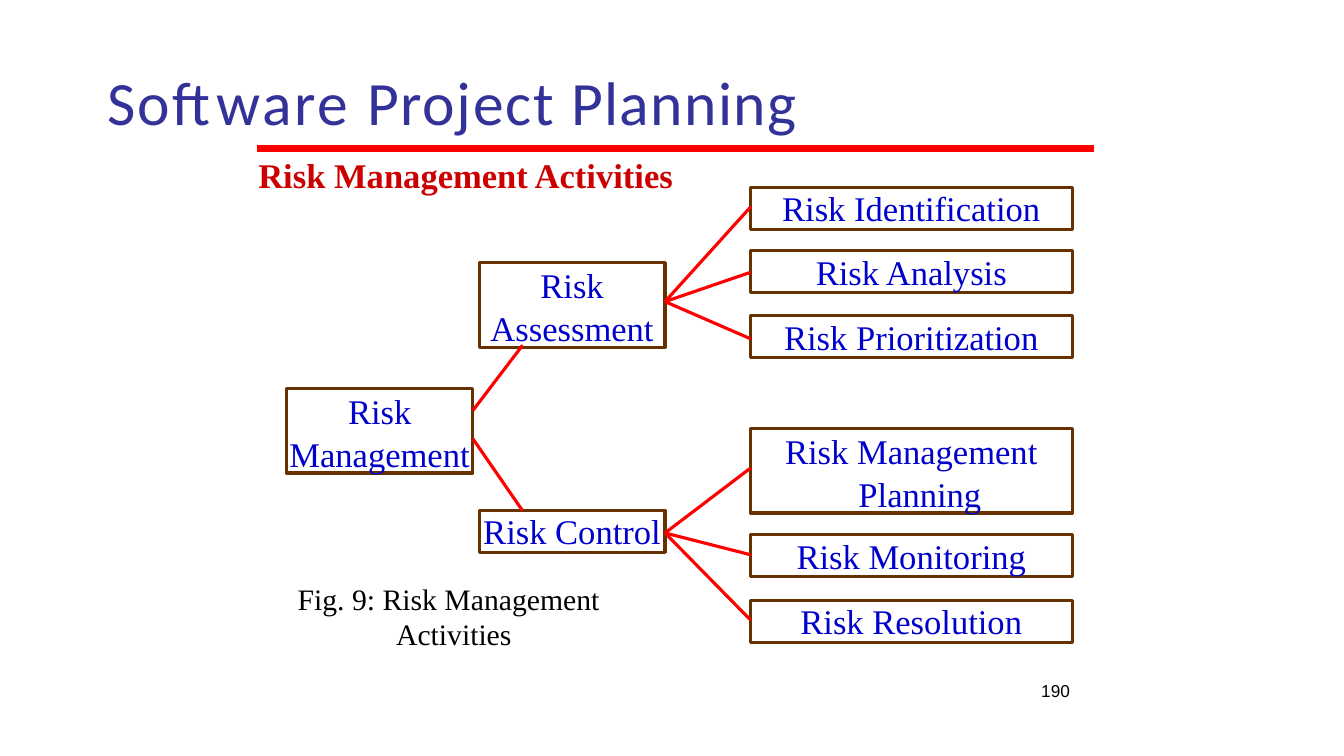
from pptx import Presentation
from pptx.dml.color import RGBColor
from pptx.enum.shapes import MSO_CONNECTOR, MSO_SHAPE
from pptx.enum.text import MSO_ANCHOR, PP_ALIGN
from pptx.oxml.ns import qn
from pptx.util import Cm, Pt
from lxml.etree import SubElement

SERIF = "Times New Roman"
RED, BROWN, BLUE = "FF0000", "653200", "0000CC"

TITLE = [("Software ", 1.7), ("Project ", 1.2), ("Planning", 1)]
HEADING = "Risk Management Activities"
CAPTION = "Fig. 9: Risk Management Activities"
PAGE_NUMBER = "190"

ROOT_COLUMN, BRANCH_COLUMN, LEAF_COLUMN = (7.22, 4.7), (12.08, 4.68), (18.92, 8.1)
ONE_LINE, TWO_LINES = 1.06, 2.13
BOXES = [
    ("Risk Management", ROOT_COLUMN, 9.79, TWO_LINES, 0),
    ("Risk Assessment", BRANCH_COLUMN, 6.62, TWO_LINES, 0),
    ("Risk Control", BRANCH_COLUMN, 12.86, ONE_LINE, 0),
    ("Risk Identification", LEAF_COLUMN, 4.72, ONE_LINE, 0),
    ("Risk Analysis", LEAF_COLUMN, 6.32, ONE_LINE, 0),
    ("Risk Prioritization", LEAF_COLUMN, 7.96, ONE_LINE, 0),
    ("Risk Management Planning", LEAF_COLUMN, 10.8, TWO_LINES, 0.43),
    ("Risk Monitoring", LEAF_COLUMN, 13.47, ONE_LINE, 0),
    ("Risk Resolution", LEAF_COLUMN, 15.13, ONE_LINE, 0),
]
ROOT_LINKS = [(10.34, 8.7), (11.06, 12.87)]
ROOT_LINK_END = 13.17
LEAF_LINKS = {7.6: (5.21, 6.86, 8.54), 13.43: (11.79, 13.98, 15.63)}


def color(value):
    return RGBColor.from_string(value)


def write(shape, text, size=24.7, font=SERIF, fill="000000", bold=False,
          align=PP_ALIGN.CENTER, anchor=MSO_ANCHOR.TOP, spacing=None, hang=0):
    frame = shape.text_frame
    frame.word_wrap = True
    frame.vertical_anchor = anchor
    frame.margin_left = frame.margin_right = frame.margin_top = frame.margin_bottom = 0
    paragraph = frame.paragraphs[0]
    paragraph.alignment = align
    paragraph.space_before = Pt(0)
    if spacing:
        paragraph.line_spacing = spacing
    if hang:
        properties = paragraph._p.get_or_add_pPr()
        properties.set("marL", str(Cm(hang)))
        properties.set("indent", str(-Cm(hang)))
    for words, tracking in [(text, 0)] if isinstance(text, str) else text:
        run = paragraph.add_run()
        run.text = words
        run.font.size = Pt(size)
        run.font.name = font
        run.font.bold = bold
        run.font.color.rgb = color(fill)
        if tracking:
            run.font._element.set("spc", str(round(tracking * 100)))


def add_label(slide, left, top, width, height, text, **style):
    shape = slide.shapes.add_textbox(Cm(left), Cm(top), Cm(width), Cm(height))
    write(shape, text, **style)


def add_box(slide, text, column, top, height, hang):
    left, width = column
    shape = slide.shapes.add_shape(
        MSO_SHAPE.RECTANGLE, Cm(left), Cm(top), Cm(width), Cm(height))
    shape.shadow.inherit = False
    shape.fill.background()
    shape.line.color.rgb = color(BROWN)
    shape.line.width = Pt(2.25)
    write(shape, text, fill=BLUE, hang=hang,
          spacing=1.04 if height == TWO_LINES else None)


def add_line(slide, start, end, width=2.25):
    line = slide.shapes.add_connector(
        MSO_CONNECTOR.STRAIGHT, *(Cm(value) for value in start + end))
    line.line.color.rgb = color(RED)
    line.line.width = Pt(width)
    SubElement(line._element.spPr, qn("a:effectLst"))


def main():
    presentation = Presentation()
    presentation.slide_width, presentation.slide_height = Cm(33.87), Cm(19.05)
    slide = presentation.slides.add_slide(presentation.slide_layouts[5])

    title = slide.shapes.title
    title.left, title.top, title.width, title.height = Cm(2.7), Cm(1.6), Cm(20.1), Cm(1.9)
    write(title, TITLE, size=44, font="Calibri", fill="323299",
          align=PP_ALIGN.LEFT, anchor=MSO_ANCHOR.MIDDLE)
    add_line(slide, (6.48, 3.74), (27.58, 3.74), width=4.5)
    add_label(slide, 6.51, 3.89, 10.8, 1.06, HEADING,
              fill="CC0000", bold=True, align=PP_ALIGN.LEFT)

    for box in BOXES:
        add_box(slide, *box)

    root_right, branch_right = sum(ROOT_COLUMN), sum(BRANCH_COLUMN)
    for start, end in ROOT_LINKS:
        add_line(slide, (root_right, start), (ROOT_LINK_END, end))
    for start, ends in LEAF_LINKS.items():
        for end in ends:
            add_line(slide, (branch_right, start), (LEAF_COLUMN[0], end))

    add_label(slide, 7.36, 14.64, 7.9, 1.8, CAPTION,
              size=21.2, spacing=Pt(25.3), hang=0.26)
    add_label(slide, 26.24, 17.2, 0.9, 0.46, PAGE_NUMBER, size=12.3,
              font="Arial", align=PP_ALIGN.LEFT, spacing=Pt(12.9))
    presentation.save("out.pptx")


if __name__ == "__main__":
    main()
